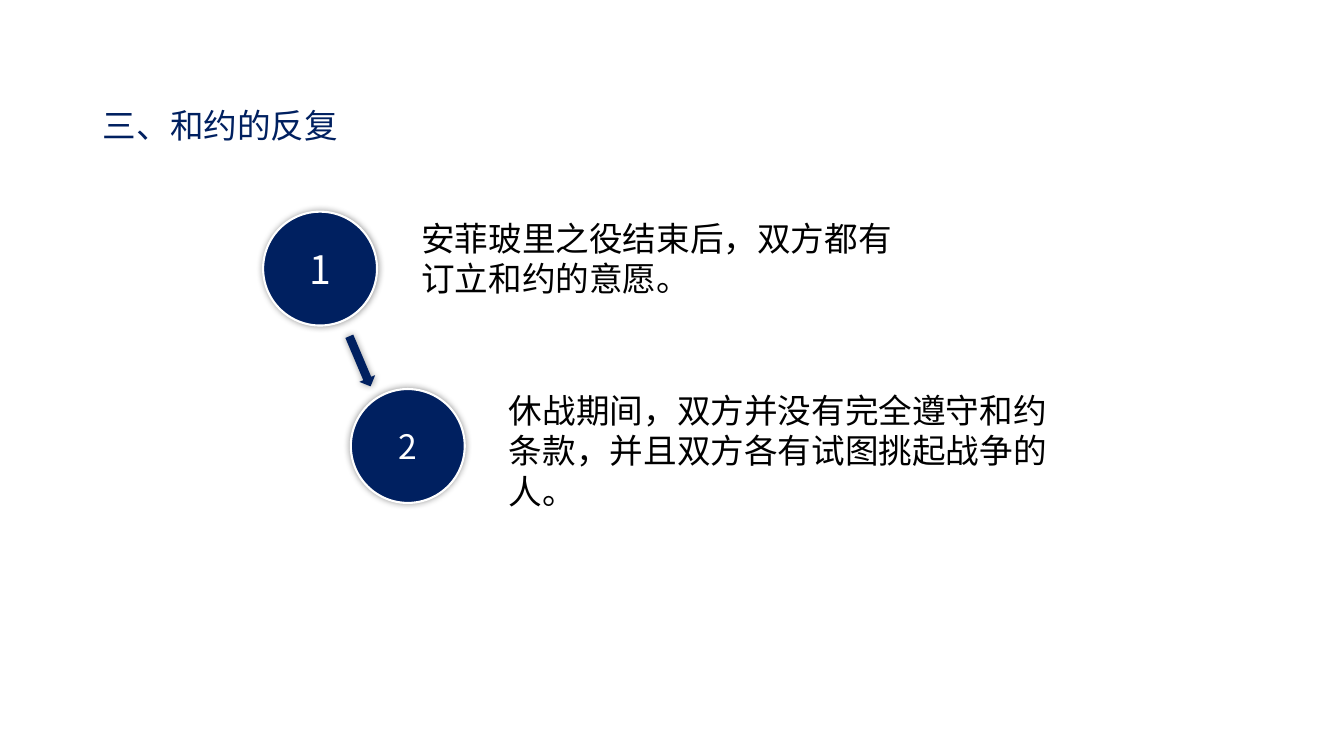
"""Build the slide on the repeated peace treaties, with two numbered steps."""
from lxml.etree import SubElement
from pptx import Presentation
from pptx.dml.color import RGBColor
from pptx.enum.shapes import MSO_SHAPE as Preset
from pptx.enum.text import MSO_ANCHOR as Anchor, PP_ALIGN as Align
from pptx.oxml.ns import qn
from pptx.util import Inches, Pt

NAVY, WHITE, BLACK = "002060", "FFFFFF", "000000"
CJK = "Noto Sans CJK SC"


def write(shape, text, size, font, color):
    frame = shape.text_frame
    frame.word_wrap = True
    frame.text = text
    run = frame.paragraphs[0].runs[0]
    run.font.size = Pt(size)
    run.font.name = font
    run.font.color.rgb = RGBColor.from_string(color)
    SubElement(run.font._element, qn("a:ea"), typeface=CJK)
    return frame


def paint(shape):
    shape.fill.solid()
    shape.fill.fore_color.rgb = RGBColor.from_string(NAVY)
    shape.shadow.inherit = False
    effects = shape._element.spPr.find(qn("a:effectLst"))
    glow = SubElement(effects, qn("a:outerShdw"), blurRad=str(Pt(5)),
                      dist="0", dir="0", algn="ctr", rotWithShape="0")
    shade = SubElement(glow, qn("a:srgbClr"), val=BLACK)
    SubElement(shade, qn("a:alpha"), val="40000")


deck = Presentation()
deck.slide_width, deck.slide_height = Inches(13.33), Inches(7.5)
shapes = deck.slides.add_slide(deck.slide_layouts[6]).shapes

heading = shapes.add_textbox(Inches(1.02), Inches(0.87), Inches(11.65), Inches(0.55))
heading_frame = write(heading, "三、和约的反复", 24, "Calibri", NAVY)
heading_frame.margin_left = heading_frame.margin_right = 0
heading_frame.vertical_anchor = Anchor.MIDDLE
heading_frame.paragraphs[0].line_spacing = 1.5

steps = [
    ("1", 28, 2.61, 2.1, "安菲玻里之役结束后，双方都有订立和约的意愿。", 2.11, 4.96, 0.91),
    ("2", 24, 3.48, 3.86, "休战期间，双方并没有完全遵守和约条款，并且双方各有试图挑起战争的人。",
     3.82, 5.54, 1.58),
]
for number, size, left, top, sentence, text_top, width, height in steps:
    badge = shapes.add_shape(Preset.OVAL, Inches(left), Inches(top), Inches(1.13), Inches(1.13))
    paint(badge)
    badge.line.color.rgb = RGBColor.from_string(WHITE)
    badge.line.width = Pt(1.5)
    badge_frame = write(badge, number, size, CJK, WHITE)
    badge_frame.vertical_anchor = Anchor.MIDDLE
    badge_frame.paragraphs[0].alignment = Align.CENTER

    event = shapes.add_textbox(Inches(left + 1.47), Inches(text_top), Inches(width), Inches(height))
    write(event, sentence, 24, CJK, BLACK)

arrow = shapes.add_shape(Preset.RIGHT_ARROW, Inches(3.3), Inches(3.5), Inches(0.54), Inches(0.17))
arrow.rotation = 67
paint(arrow)
arrow.line.fill.background()

deck.save("out.pptx")
